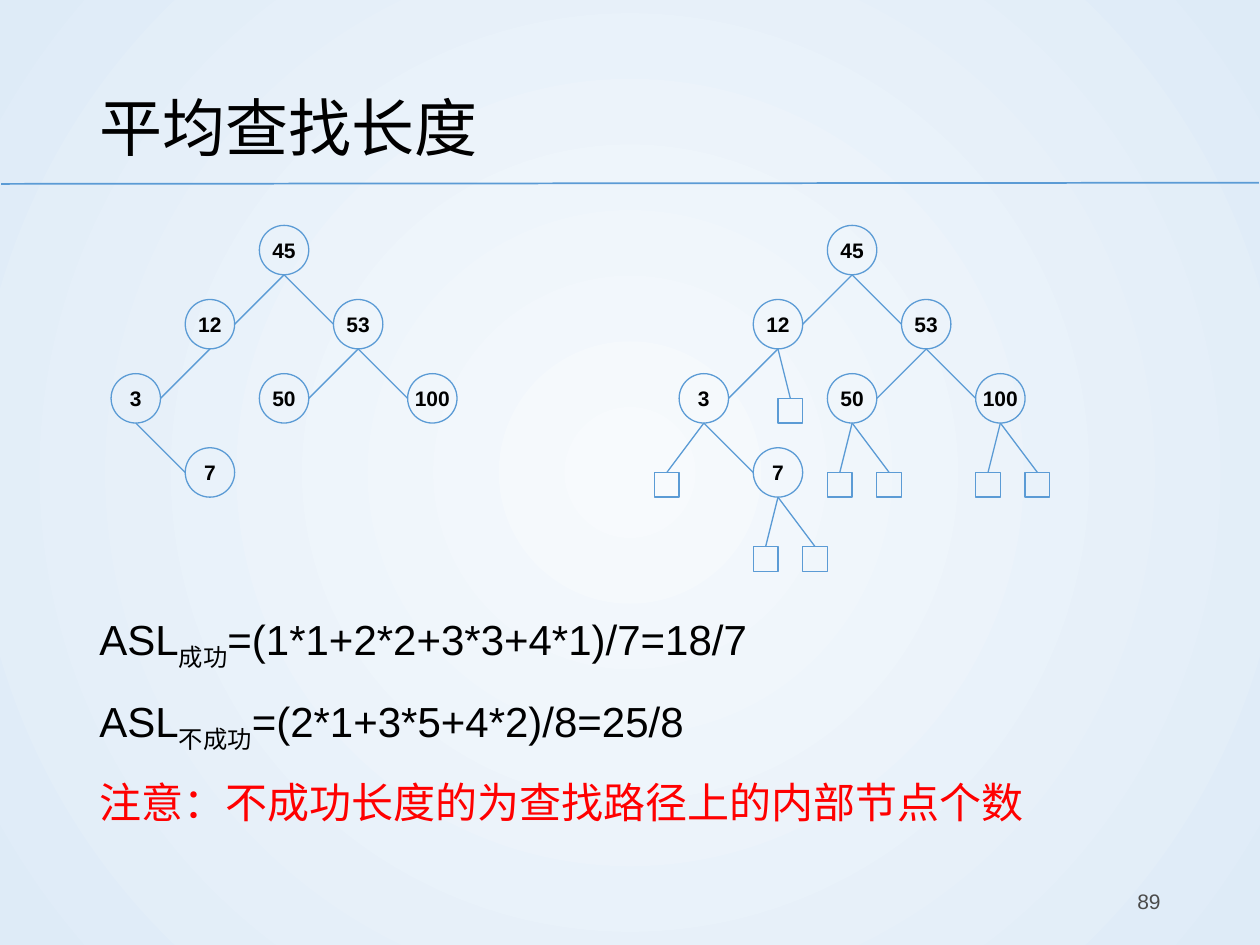
from lxml import etree
from pptx import Presentation
from pptx.dml.color import RGBColor
from pptx.enum.shapes import MSO_CONNECTOR, MSO_SHAPE
from pptx.enum.text import MSO_ANCHOR, MSO_AUTO_SIZE, PP_ALIGN
from pptx.oxml.ns import qn
from pptx.util import Pt

LINE = MSO_CONNECTOR.STRAIGHT
CIRCLE = MSO_SHAPE.OVAL
SQUARE = MSO_SHAPE.RECTANGLE
MIDDLE = MSO_ANCHOR.MIDDLE
LEFT, CENTER, RIGHT = PP_ALIGN.LEFT, PP_ALIGN.CENTER, PP_ALIGN.RIGHT

BLUE = RGBColor(0x5B, 0x9B, 0xD5)
BLACK = RGBColor(0, 0, 0)
RED = RGBColor(0xFF, 0, 0)
GREY = RGBColor(0x4B, 0x4B, 0x4B)
PALE = RGBColor(0xF7, 0xFA, 0xFD)
SKY = RGBColor(0xDE, 0xEB, 0xF7)


def write(para, text, size=24, color=BLACK, bold=False, baseline=0, align=LEFT):
    para.alignment = align
    span = para.add_run()
    span.text = text
    span.font.name = "Arial"
    span.font.size = Pt(size)
    span.font.bold = bold
    span.font.color.rgb = color
    if baseline:
        span.font._element.set("baseline", str(baseline * 1000))


def draw_line(x1, y1, x2, y2, width=0.75):
    line = page.shapes.add_connector(LINE, Pt(x1), Pt(y1), Pt(x2), Pt(y2))
    line.line.color.rgb = BLUE
    line.line.width = Pt(width)
    etree.SubElement(line._element.spPr, qn("a:effectLst"))


deck = Presentation()
deck.slide_width = Pt(720)
deck.slide_height = Pt(540)
page = deck.slides.add_slide(deck.slide_layouts[5])

fill = page.background.fill
fill.gradient()
for stop, color, position in zip(fill.gradient_stops, (PALE, SKY), (0, 1)):
    stop.color.rgb = color
    stop.position = position
linear = next(page.element.iter(qn("a:lin")))
radial = etree.Element(qn("a:path"), {"path": "circle"})
center = {side: "50000" for side in "ltrb"}
etree.SubElement(radial, qn("a:fillToRect"), center)
linear.getparent().replace(linear, radial)

draw_line(0.7, 105.1, 719.3, 104.4, width=1)

title = page.shapes.title
title.left, title.top, title.width, title.height = Pt(49.7), Pt(28.8), Pt(620.6), Pt(77.8)
title.text_frame.auto_size = MSO_AUTO_SIZE.NONE
title.text_frame.vertical_anchor = MIDDLE
heading = title.text_frame.paragraphs[0]
heading.line_spacing = 1.2
write(heading, "平均查找长度", size=36)

body = page.shapes.add_textbox(Pt(49.7), Pt(340.6), Pt(620.6), Pt(146.2)).text_frame
body.word_wrap = True
formulas = [
    [("ASL", {}), ("成功", {"baseline": -25}), ("=(1*1+2*2+3*3+4*1)/7=18/7", {})],
    [("ASL", {}), ("不成功", {"baseline": -25}), ("=(2*1+3*5+4*2)/8=25/8", {})],
    [("注意：不成功长度的为查找路径上的内部节点个数", {"color": RED})],
]
for index, pieces in enumerate(formulas):
    para = body.add_paragraph() if index else body.paragraphs[0]
    para.line_spacing = 1.2
    if index:
        para.space_before = Pt(7.5)
    for text, options in pieces:
        write(para, text, **options)

number = page.shapes.add_textbox(Pt(508.3), Pt(500.4), Pt(162), Pt(28.8)).text_frame
number.word_wrap = True
number.vertical_anchor = MIDDLE
write(number.paragraphs[0], "89", size=12, color=GREY, align=RIGHT)

# One unit is a square's side, a circle is two units wide, and the grid step is three.
UNIT = 14.12
TREE_TOP = 128.8
nodes = {"45": (2, 0), "12": (1, 1), "53": (3, 1), "3": (0, 2),
         "50": (2, 2), "100": (4, 2), "7": (1, 3)}
edges = [("45", "12"), ("45", "53"), ("12", "3"), ("53", "50"), ("53", "100"), ("3", "7")]
leaf_offsets = {"12": [1], "3": [-1], "7": [0, 2], "50": [0, 2], "100": [0, 2]}

for tree_left, leaves in ((63.5, {}), (388.1, leaf_offsets)):
    places = {key: (tree_left + 3 * UNIT * column, TREE_TOP + 3 * UNIT * row)
              for key, (column, row) in nodes.items()}
    outlines = [(CIRCLE, x, y, 2 * UNIT, key) for key, (x, y) in places.items()]

    for parent, child in edges:
        x, y = places[parent]
        child_x, child_y = places[child]
        side = 2 * UNIT if child_x < x else 0
        draw_line(x + UNIT, y + 2 * UNIT, child_x + side, child_y + UNIT)

    for parent, offsets in leaves.items():
        x, y = places[parent]
        for offset in offsets:
            leaf_x, leaf_y = x + offset * UNIT, y + 4 * UNIT
            outlines.append((SQUARE, leaf_x, leaf_y, UNIT, ""))
            draw_line(x + UNIT, y + 2 * UNIT, leaf_x + UNIT / 2, leaf_y)

    for kind, x, y, size, label in outlines:
        node = page.shapes.add_shape(kind, Pt(x), Pt(y), Pt(size), Pt(size))
        node.shadow.inherit = False
        node.fill.background()
        node.line.color.rgb = BLUE
        node.line.width = Pt(0.75)
        if label:
            frame = node.text_frame
            frame.word_wrap = False
            frame.margin_left = frame.margin_right = frame.margin_top = frame.margin_bottom = 0
            frame.vertical_anchor = MIDDLE
            write(frame.paragraphs[0], label, size=12, bold=True, align=CENTER)

deck.save("out.pptx")
